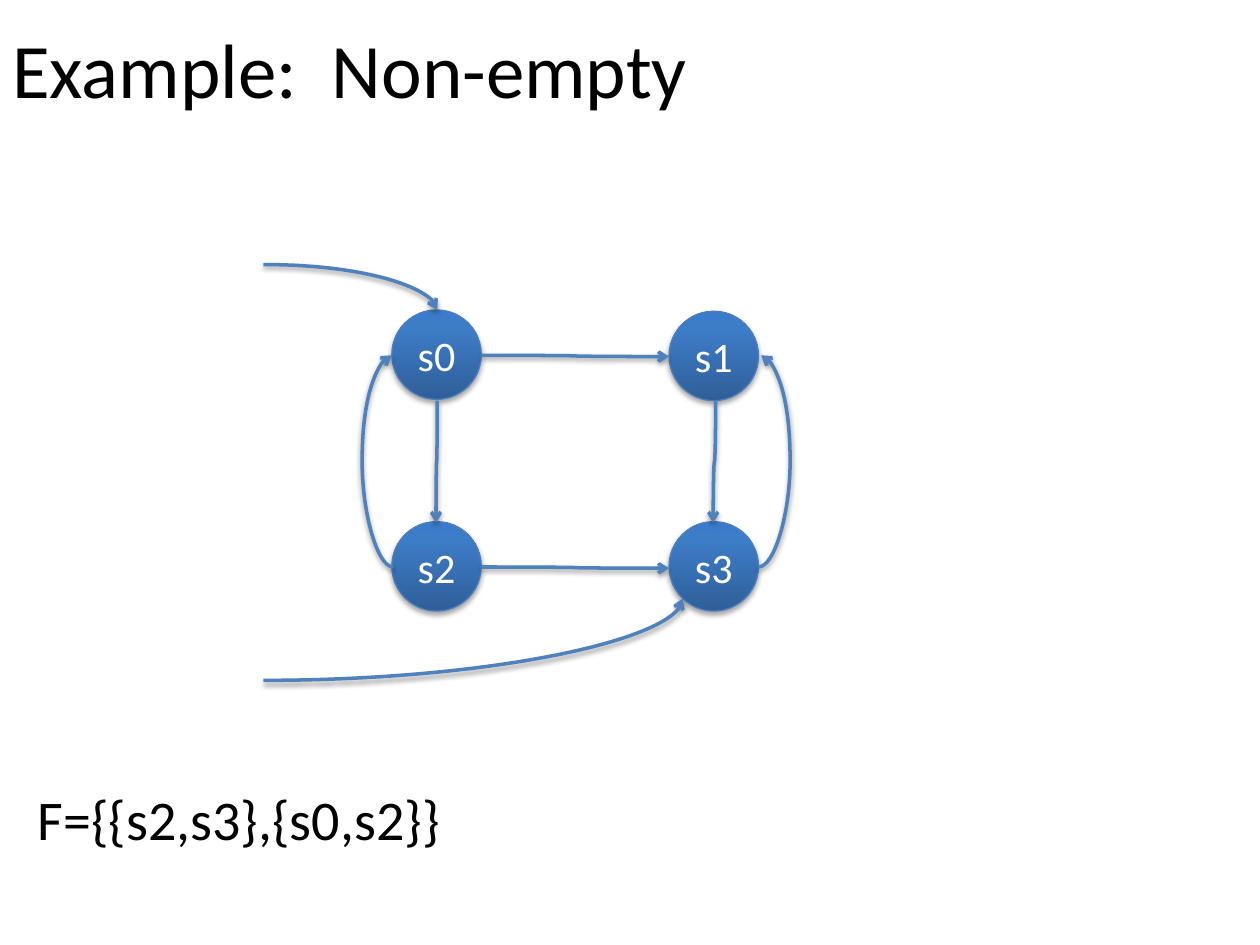
"""Build the slide with the non-empty automaton example."""
from copy import deepcopy
from math import cos, radians, sin
from typing import NamedTuple

from lxml import etree
from pptx import Presentation
from pptx import util as u
from pptx.dml.color import RGBColor
from pptx.enum import shapes, text
from pptx.oxml import parse_xml
from pptx.oxml.ns import nsdecls, qn

FONT = "Calibri"
STATE_SIZE = 0.71
LEFT, RIGHT, TOP, BOTTOM = 3.11, 5.31, 2.46, 4.14
GRADIENT = [(0, "2F5F99"), (0.8, "3D7CC7"), (1, "3A7CCB")]


class State(NamedTuple):
    label: str
    left: float
    top: float


class Transition(NamedTuple):
    start: tuple[float, float]
    end: tuple[float, float]
    turn: int = 0
    preset: str = "curvedConnector3"
    bend: float = 0.5


STATES = [
    State("s2", LEFT, BOTTOM),
    State("s0", LEFT, TOP),
    State("s3", RIGHT, BOTTOM),
    State("s1", RIGHT, TOP + 0.01),
]
TRANSITIONS = [
    Transition((3.47, 3.18), (3.46, 4.15), turn=90),
    Transition((5.68, 3.18), (5.66, 4.15), turn=90),
    Transition((3.82, 2.82), (5.31, 2.83)),
    Transition((3.82, 4.5), (5.31, 4.51)),
    Transition((6.02, 4.5), (6.04, 2.82), bend=12.5),
    Transition((3.12, 4.5), (3.11, 2.82), turn=180, bend=25),
    Transition((2.09, 2.1), (3.47, 2.46), preset="curvedConnector2"),
    Transition((2.09, 5.4), (5.42, 4.75), preset="curvedConnector2"),
]


def colour(value: str) -> RGBColor:
    return RGBColor.from_string(value)


def write(shape, content: str, *, size: float, color: str = "000000",
          align=text.PP_ALIGN.LEFT, anchor=text.MSO_ANCHOR.TOP, inset: float = 0.1) -> None:
    frame = shape.text_frame
    frame.word_wrap = True
    frame.vertical_anchor = anchor
    frame.margin_left = frame.margin_right = u.Inches(inset)
    paragraph = frame.paragraphs[0]
    paragraph.alignment = align
    run = paragraph.add_run()
    run.text = content
    run.font.name = FONT
    run.font.size = u.Pt(size)
    run.font.color.rgb = colour(color)


def add_text(slide, content: str, left: float, top: float, width: float, height: float,
             **style) -> None:
    box = slide.shapes.add_textbox(*map(u.Inches, (left, top, width, height)))
    write(box, content, **style)


def add_shadow(shape, distance: float, opacity: int) -> None:
    shape._element.spPr.append(parse_xml(
        f'<a:effectLst {nsdecls("a")}><a:outerShdw blurRad="{u.Pt(3.1)}" '
        f'dist="{u.Pt(distance)}" dir="5400000" rotWithShape="0"><a:srgbClr val="000000">'
        f'<a:alpha val="{opacity * 1000}"/></a:srgbClr></a:outerShdw></a:effectLst>'))


def add_state(slide, state: State) -> None:
    circle = slide.shapes.add_shape(
        shapes.MSO_SHAPE.OVAL,
        *map(u.Inches, (state.left, state.top, STATE_SIZE, STATE_SIZE)))
    circle.fill.gradient()
    circle.fill.gradient_angle = 90
    stop_list = circle._element.spPr.find(".//" + qn("a:gsLst"))
    stop_list.append(deepcopy(stop_list[-1]))
    for stop, (position, value) in zip(circle.fill.gradient_stops, GRADIENT):
        stop.position = position
        stop.color.rgb = colour(value)
    circle.line.color.rgb = colour("4B7EBC")
    circle.line.width = u.Pt(0.75)
    add_shadow(circle, 1.8, 35)
    write(circle, state.label, size=24, color="FFFFFF", align=text.PP_ALIGN.CENTER,
          anchor=text.MSO_ANCHOR.MIDDLE, inset=0)


def add_transition(slide, transition: Transition) -> None:
    (x1, y1), (x2, y2) = transition.start, transition.end
    mid_x, mid_y = (x1 + x2) / 2, (y1 + y2) / 2
    half_x, half_y = (x2 - x1) / 2, (y2 - y1) / 2
    angle = radians(transition.turn)
    dx = half_x * cos(angle) + half_y * sin(angle)
    dy = half_y * cos(angle) - half_x * sin(angle)
    arrow = slide.shapes.add_connector(
        shapes.MSO_CONNECTOR.CURVE,
        *map(u.Inches, (mid_x - dx, mid_y - dy, mid_x + dx, mid_y + dy)))
    arrow.line.color.rgb = colour("4F81BD")
    arrow.line.width = u.Pt(2)
    properties = arrow._element.spPr
    if transition.turn:
        properties.find(qn("a:xfrm")).set("rot", str(transition.turn * 60000))
    geometry = properties.find(qn("a:prstGeom"))
    geometry.set("prst", transition.preset)
    if transition.preset == "curvedConnector3":
        guide = etree.SubElement(geometry.find(qn("a:avLst")), qn("a:gd"))
        guide.set("name", "adj1")
        guide.set("fmla", f"val {round(transition.bend * 100000)}")
    etree.SubElement(properties.find(qn("a:ln")), qn("a:tailEnd")).set("type", "arrow")
    add_shadow(arrow, 1.6, 38)


def main() -> None:
    deck = Presentation()
    deck.slide_width, deck.slide_height = u.Inches(10), u.Inches(7.5)
    slide = deck.slides.add_slide(deck.slide_layouts[6])
    add_text(slide, "Example:  Non-empty", 0, 0, 10, 1.07, size=44,
             anchor=text.MSO_ANCHOR.MIDDLE)
    for state in STATES:
        add_state(slide, state)
    for transition in TRANSITIONS:
        add_transition(slide, transition)
    add_text(slide, "F={{s2,s3},{s0,s2}}", 0.2, 6.18, 5.76, 0.64, size=32)
    deck.save("out.pptx")


if __name__ == "__main__":
    main()
